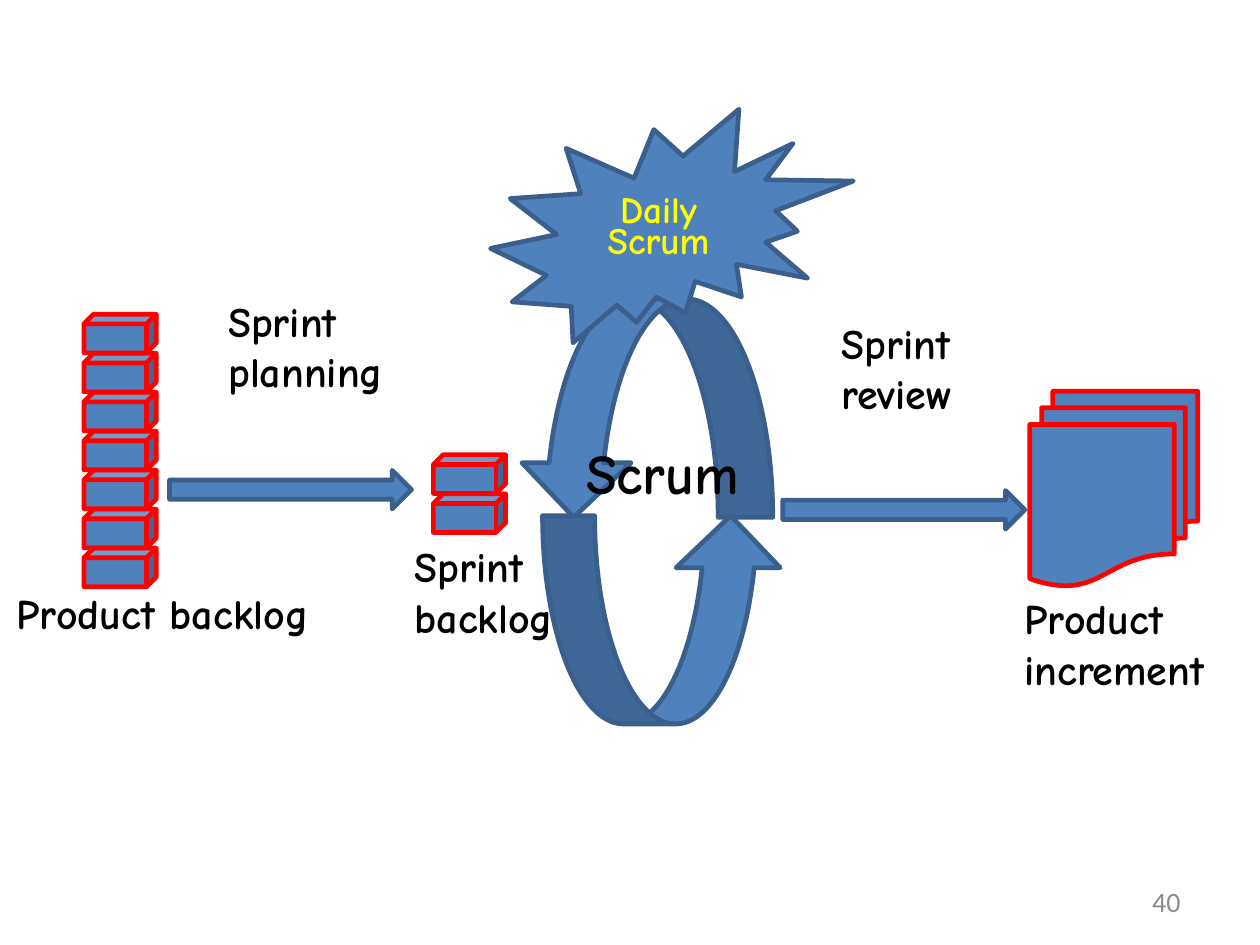
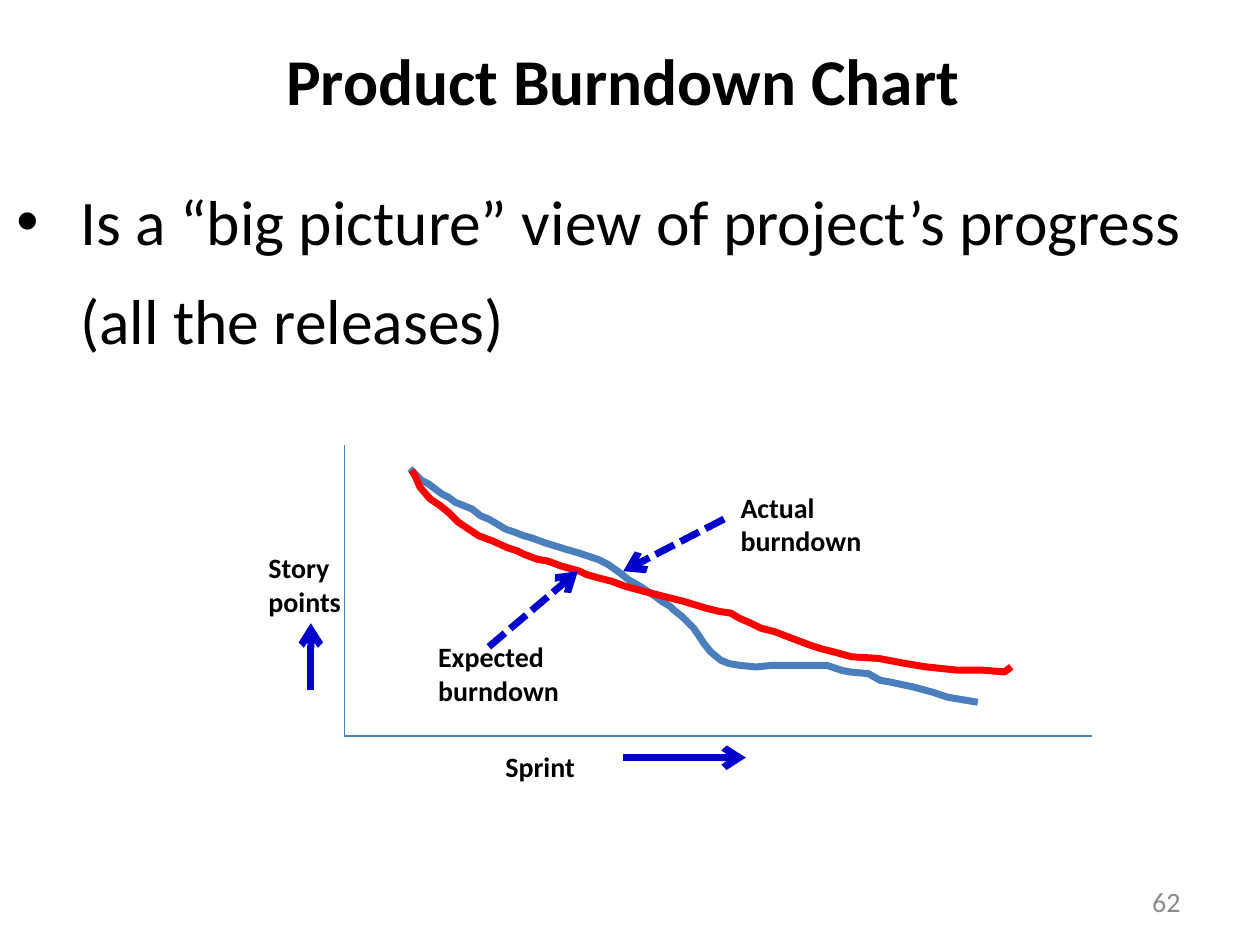
from dataclasses import dataclass

from lxml import etree
from pptx import Presentation
from pptx.dml.color import RGBColor
from pptx.enum.dml import MSO_LINE
from pptx.enum.shapes import MSO_CONNECTOR, MSO_SHAPE
from pptx.enum.text import MSO_ANCHOR, PP_ALIGN
from pptx.oxml.ns import qn
from pptx.util import Inches, Pt

CUBE = MSO_SHAPE.CUBE
RIGHT_ARROW = MSO_SHAPE.RIGHT_ARROW
CURVED_DOWN = MSO_SHAPE.CURVED_DOWN_ARROW
CURVED_UP = MSO_SHAPE.CURVED_UP_ARROW
DOCUMENTS = MSO_SHAPE.FLOWCHART_MULTIDOCUMENT
BURST = MSO_SHAPE.EXPLOSION2
STRAIGHT = MSO_CONNECTOR.STRAIGHT
SHORT_DASH = MSO_LINE.SQUARE_DOT
LEFT, CENTER, RIGHT = PP_ALIGN.LEFT, PP_ALIGN.CENTER, PP_ALIGN.RIGHT
TOP, MIDDLE = MSO_ANCHOR.TOP, MSO_ANCHOR.MIDDLE

# Grid: 75 columns by 56.25 rows of square cells
COLUMNS, ROWS = 75, 56.25
CELL = Inches(0.1)
CURVE_STEPS = 10  # curve points are given in tenths of a cell


@dataclass(frozen=True)
class Theme:
    blue: str = "4F81BD"
    blue_edge: str = "3A5F8C"
    curve_blue: str = "4B7EBC"
    red: str = "FF0000"
    pointer: str = "0000CC"
    black: str = "000000"
    yellow: str = "FFFF00"
    gray: str = "8C8C8C"
    body_font: str = "Calibri"
    sketch_font: str = "Comic Neue"
    bullet_font: str = "Arial"
    title_size: float = 28
    bullet_size: float = 27.2
    scrum_size: float = 24
    label_size: float = 18
    burst_size: float = 16
    small_size: float = 12
    thin: float = 0.75
    edge: float = 2
    thick: float = 3


THEME = Theme()

# Burndown curves, in tenths of a cell
ACTUAL = [
    (244, 279), (247, 282), (251, 286), (255, 288), (259, 291), (263, 294),
    (267, 296), (271, 299), (276, 301), (281, 303), (286, 307), (291, 309),
    (296, 312), (301, 315), (307, 317), (312, 319), (316, 320), (324, 323),
    (337, 327), (344, 329), (356, 333), (362, 336), (369, 341), (374, 345),
    (381, 349), (390, 355), (394, 358), (399, 361), (401, 363), (406, 367),
    (409, 370), (413, 374), (417, 380), (419, 383), (423, 388), (429, 393),
    (434, 395), (440, 396), (450, 397), (460, 396), (492, 396), (501, 399),
    (506, 400), (517, 401), (524, 405), (530, 406), (544, 409), (555, 412),
    (564, 415), (570, 416), (582, 418),
]
EXPECTED = [
    (245, 280), (247, 283), (250, 290), (256, 297), (262, 301), (267, 305),
    (273, 311), (279, 315), (285, 319), (293, 322), (302, 326), (308, 328),
    (312, 330), (320, 333), (326, 334), (334, 337), (345, 340), (349, 342),
    (356, 344), (364, 346), (372, 349), (383, 352), (395, 355), (407, 358),
    (420, 362), (428, 364), (435, 365), (440, 368), (447, 371), (453, 374),
    (461, 376), (474, 381), (482, 384), (488, 386), (496, 388), (507, 391),
    (523, 392), (539, 395), (551, 397), (570, 399), (585, 399), (598, 400),
    (602, 397),
]


def cells(*values):
    return [round(value * CELL) for value in values]


def color(code):
    return RGBColor.from_string(code)


def write_text(frame, text, *, size, font, ink=THEME.black, bold=False,
               align=LEFT, anchor=TOP, wrap=True, spacing=None, after=None,
               bullet_indent=None):
    """Fill a text frame, one paragraph per line of text."""
    frame.word_wrap = wrap
    frame.vertical_anchor = anchor
    for index, line in enumerate(text.split("\n")):
        paragraph = frame.add_paragraph() if index else frame.paragraphs[0]
        paragraph.alignment = align
        if spacing:
            paragraph.line_spacing = spacing
        if after:
            paragraph.space_after = Pt(after)
        if bullet_indent:
            properties = paragraph._p.get_or_add_pPr()
            properties.set("marL", str(Inches(bullet_indent)))
            properties.set("indent", str(-Inches(bullet_indent)))
            bullet_font = etree.SubElement(properties, qn("a:buFont"))
            bullet_font.set("typeface", THEME.bullet_font)
            etree.SubElement(properties, qn("a:buChar")).set("char", "•")
        run = paragraph.add_run()
        run.text = line
        run.font.size = Pt(size)
        run.font.name = font
        run.font.bold = bold
        run.font.color.rgb = color(ink)


def add_text(slide, text, left, top, width, height, **text_format):
    box = slide.shapes.add_textbox(*cells(left, top, width, height))
    write_text(box.text_frame, text, **text_format)


def add_sketch_label(slide, text, left, top, width, height,
                     size=THEME.label_size):
    add_text(slide, text, left, top, width, height, size=size,
             font=THEME.sketch_font, bold=True)


def add_chart_label(slide, text, left, top, width, height):
    add_text(slide, text, left, top, width, height, size=THEME.small_size,
             font=THEME.body_font, bold=True, wrap=False)


def add_page_number(slide, number):
    add_text(slide, number, 53.75, 52.13, 17.5, 3, size=THEME.small_size,
             font=THEME.body_font, ink=THEME.gray, align=RIGHT, anchor=MIDDLE)


def add_figure(slide, kind, left, top, width, height, edge=THEME.blue_edge):
    shape = slide.shapes.add_shape(kind, *cells(left, top, width, height))
    shape.shadow.inherit = False
    shape.fill.solid()
    shape.fill.fore_color.rgb = color(THEME.blue)
    shape.line.color.rgb = color(edge)
    shape.line.width = Pt(THEME.edge)
    return shape


def add_cube_stack(slide, left, lowest_top, count):
    for level in range(count):
        add_figure(slide, CUBE, left, lowest_top - 2.32 * level, 4.3, 2.3,
                   THEME.red)


def add_line(slide, start, end, ink, width, arrow=False, dash=None):
    connector = slide.shapes.add_connector(STRAIGHT, *cells(*start, *end))
    connector.line.color.rgb = color(ink)
    connector.line.width = Pt(width)
    if dash:
        connector.line.dash_style = dash
    properties = connector.element.spPr
    if arrow:
        line = properties.find(qn("a:ln"))
        etree.SubElement(line, qn("a:tailEnd")).set("type", "arrow")
    etree.SubElement(properties, qn("a:effectLst"))


def add_curve(slide, points, ink):
    builder = slide.shapes.build_freeform(*points[0], scale=CELL / CURVE_STEPS)
    builder.add_line_segments(points[1:], close=False)
    curve = builder.convert_to_shape()
    curve.shadow.inherit = False
    curve.fill.background()
    curve.line.color.rgb = color(ink)
    curve.line.width = Pt(THEME.thick)


def build_scrum_slide(slide):
    add_page_number(slide, "40")

    # Backlogs
    add_cube_stack(slide, 5, 32.63, 7)
    add_sketch_label(slide, "Product backlog", 0, 34.5, 25.9, 5.6)
    add_cube_stack(slide, 25.8, 29.4, 2)
    add_sketch_label(slide, "Sprint\nbacklog", 23.7, 31.7, 25.9, 9.9)
    add_figure(slide, RIGHT_ARROW, 10.1, 28, 14.4, 2.3)

    # Sprint cycle
    falling = add_figure(slide, CURVED_DOWN, 30.9, 17.8, 15.1, 13)
    falling.element.spPr.find(qn("a:xfrm")).set("flipH", "1")
    add_figure(slide, CURVED_UP, 32.3, 30.7, 14.3, 12.4)

    # Increment
    add_figure(slide, DOCUMENTS, 61.3, 23.3, 10, 11.6, THEME.red)
    add_sketch_label(slide, "Product\nincrement", 60, 34.8, 30, 7.1)

    # Meetings
    add_sketch_label(slide, "Scrum", 33.9, 25.6, 25.9, 7.1, THEME.scrum_size)
    burst = add_figure(slide, BURST, 29.2, 6.5, 21.6, 13.9)
    write_text(burst.text_frame, "Daily Scrum", size=THEME.burst_size,
               font=THEME.sketch_font, ink=THEME.yellow, bold=True,
               align=CENTER, anchor=MIDDLE, spacing=0.7)
    add_sketch_label(slide, "Sprint\nplanning", 12.6, 17.1, 25.9, 9.9)
    add_figure(slide, RIGHT_ARROW, 46.6, 29.2, 14.4, 2.3)
    add_sketch_label(slide, "Sprint\nreview", 49.1, 18.4, 25.9, 9.9)


def build_burndown_slide(slide):
    add_text(slide, "Product Burndown Chart", 3.3, 0, 67.5, 9.4,
             size=THEME.title_size, font=THEME.body_font, bold=True,
             align=CENTER, anchor=MIDDLE)
    add_text(slide,
             "Is a “big picture” view of project’s progress (all the releases)",
             0, 9, COLUMNS, 40.7, size=THEME.bullet_size,
             font=THEME.body_font, spacing=1.3, after=12, bullet_indent=0.38)
    add_page_number(slide, "62")

    # Axes and curves
    origin = (20.5, 43.8)
    for axis_end in ((20.5, 26.5), (65, 43.8)):
        add_line(slide, origin, axis_end, THEME.curve_blue, THEME.thin)
    add_curve(slide, ACTUAL, THEME.curve_blue)
    add_curve(slide, EXPECTED, THEME.red)

    # Labels
    add_chart_label(slide, "Sprint", 29.1, 44.1, 6.2, 3)
    add_chart_label(slide, "Story\npoints", 15, 32.3, 6.4, 5)
    add_chart_label(slide, "Expected\nburndown", 25.1, 37.6, 9.3, 5)
    add_chart_label(slide, "Actual\nburndown", 43.1, 28.7, 9.3, 5)

    # Axis arrows, then arrows to the curves
    for start, end, dash in (
        ((37.1, 45.1), (44.4, 45.1), None),
        ((18.5, 41.1), (18.5, 37.1), None),
        ((29.1, 38.5), (34.4, 34), SHORT_DASH),
        ((43.1, 30.9), (37.1, 34), SHORT_DASH),
    ):
        add_line(slide, start, end, THEME.pointer, THEME.thick, True, dash)


def main():
    presentation = Presentation()
    presentation.slide_width, presentation.slide_height = cells(COLUMNS, ROWS)
    blank = presentation.slide_layouts[6]
    for build in (build_scrum_slide, build_burndown_slide):
        build(presentation.slides.add_slide(blank))
    presentation.save("out.pptx")


if __name__ == "__main__":
    main()
